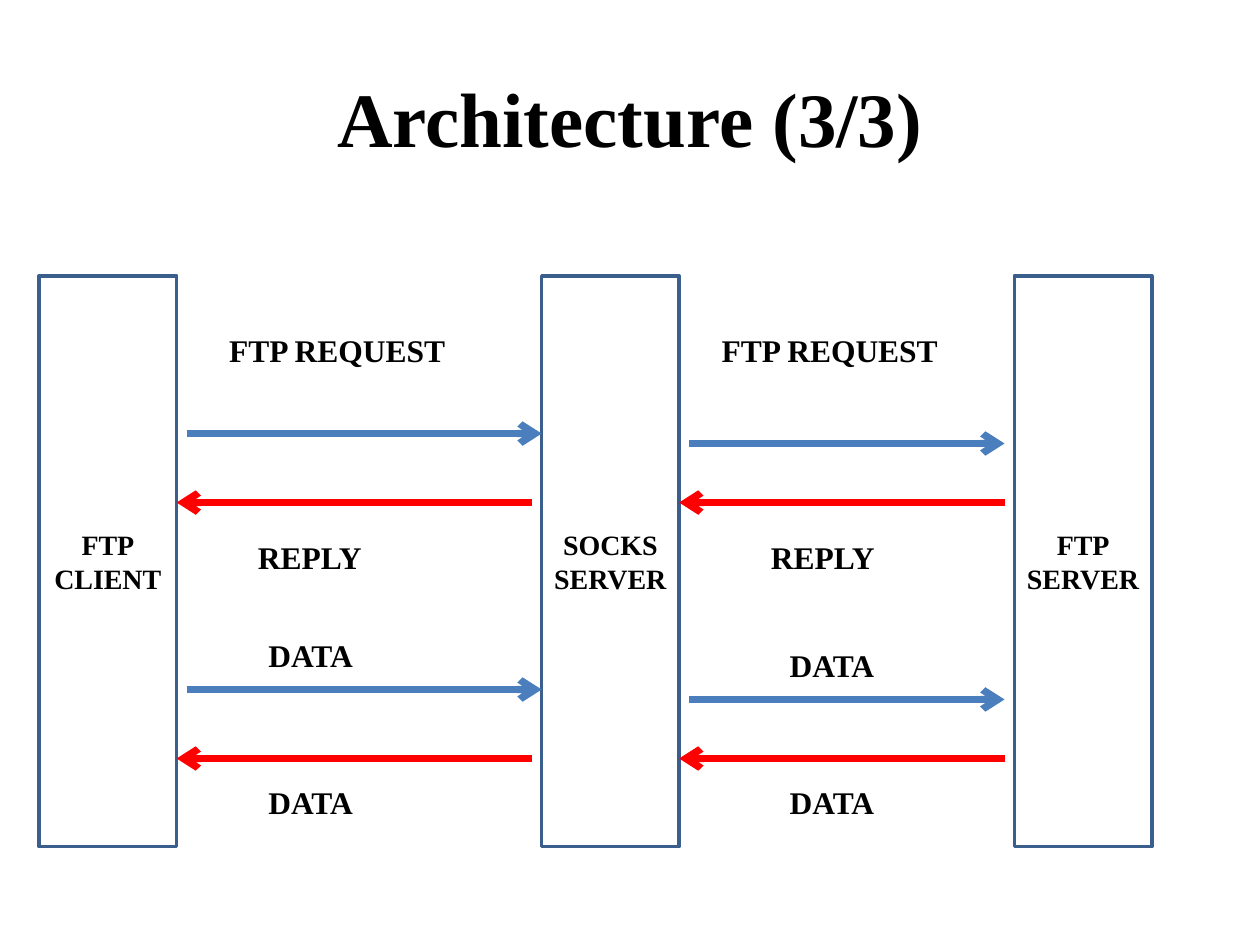
from dataclasses import dataclass

from lxml import etree
from pptx import Presentation
from pptx import util as u
from pptx.dml.color import RGBColor
from pptx.enum import shapes, text
from pptx.oxml.ns import qn


@dataclass(frozen=True)
class Theme:
    font: str = "Times New Roman"
    ink: RGBColor = RGBColor(0, 0, 0)
    border: RGBColor = RGBColor(0x3A, 0x5F, 0x8C)
    forward: RGBColor = RGBColor(0x4B, 0x7E, 0xBC)
    back: RGBColor = RGBColor(0xFF, 0, 0)
    title_size: int = 44
    host_size: int = 16
    label_size: int = 18
    border_width: int = 2
    arrow_width: int = 4


@dataclass(frozen=True)
class Host:
    x: float
    lines: tuple[str, ...]


@dataclass(frozen=True)
class Arrow:
    x1: float
    x2: float
    y: float
    color: RGBColor


@dataclass(frozen=True)
class Label:
    x: float
    y: float
    caption: str


THEME = Theme()

# All lengths are in centimetres
HOST_TOP, HOST_W, HOST_H = 5.56, 2.77, 11.51
LABEL_W, LABEL_H = 9.12, 1.02
GAP = 0.2  # space between an arrow's loose end and a host
DATA_DROP = 5.16  # from the request/reply arrows to the data arrows

CLIENT = Host(0.79, ("FTP", "CLIENT"))
SOCKS = Host(10.92, ("SOCKS", "SERVER"))
SERVER = Host(20.45, ("FTP", "SERVER"))

ARROWS = [
    arrow
    for drop in (0, DATA_DROP)
    for arrow in (
        Arrow(CLIENT.x + HOST_W + GAP, SOCKS.x, 8.74 + drop, THEME.forward),
        Arrow(SOCKS.x + HOST_W + GAP, SERVER.x - GAP, 8.94 + drop, THEME.forward),
        Arrow(SOCKS.x - GAP, CLIENT.x + HOST_W, 10.13 + drop, THEME.back),
        Arrow(SERVER.x - GAP, SOCKS.x + HOST_W, 10.13 + drop, THEME.back),
    )
]

LABELS = [
    Label(4.37, 6.55, "FTP REQUEST"),
    Label(14.3, 6.55, "FTP REQUEST"),
    Label(4.95, 10.72, "REPLY"),
    Label(15.29, 10.72, "REPLY"),
    Label(5.16, 12.7, "DATA"),
    Label(15.67, 12.9, "DATA"),
    Label(5.16, 15.67, "DATA"),
    Label(15.67, 15.67, "DATA"),
]


def style(p, size: int, align=text.PP_ALIGN.LEFT) -> None:
    p.alignment = align
    p.font.name = THEME.font
    p.font.size = u.Pt(size)
    p.font.bold = True
    p.font.color.rgb = THEME.ink


def add_title(s, caption: str) -> None:
    sp = s.shapes.title
    sp.left, sp.top, sp.width, sp.height = map(u.Cm, (1.27, 0.76, 22.86, 3.18))
    tf = sp.text_frame
    tf.text = caption
    tf.vertical_anchor = text.MSO_ANCHOR.MIDDLE
    style(tf.paragraphs[0], THEME.title_size, text.PP_ALIGN.CENTER)


def add_host(s, host: Host) -> None:
    sp = s.shapes.add_shape(
        shapes.MSO_SHAPE.RECTANGLE,
        u.Cm(host.x), u.Cm(HOST_TOP), u.Cm(HOST_W), u.Cm(HOST_H),
    )
    sp.shadow.inherit = False
    sp.fill.background()
    sp.line.color.rgb = THEME.border
    sp.line.width = u.Pt(THEME.border_width)
    tf = sp.text_frame
    tf.word_wrap = True
    tf.margin_left = tf.margin_right = u.Cm(0.1)
    tf.vertical_anchor = text.MSO_ANCHOR.MIDDLE
    tf.text = "\n".join(host.lines)
    for p in tf.paragraphs:
        style(p, THEME.host_size, text.PP_ALIGN.CENTER)


def add_arrow(s, arrow: Arrow) -> None:
    cx = s.shapes.add_connector(
        shapes.MSO_CONNECTOR.STRAIGHT,
        u.Cm(arrow.x1), u.Cm(arrow.y), u.Cm(arrow.x2), u.Cm(arrow.y),
    )
    cx.line.color.rgb = arrow.color
    cx.line.width = u.Pt(THEME.arrow_width)
    etree.SubElement(cx.line._get_or_add_ln(), qn("a:tailEnd"), type="arrow")
    etree.SubElement(cx._element.spPr, qn("a:effectLst"))


def add_label(s, label: Label) -> None:
    sp = s.shapes.add_textbox(
        u.Cm(label.x), u.Cm(label.y), u.Cm(LABEL_W), u.Cm(LABEL_H)
    )
    tf = sp.text_frame
    tf.word_wrap = True
    tf.auto_size = text.MSO_AUTO_SIZE.SHAPE_TO_FIT_TEXT
    tf.text = label.caption
    style(tf.paragraphs[0], THEME.label_size)


def main() -> None:
    prs = Presentation()
    prs.slide_width, prs.slide_height = u.Cm(25.4), u.Cm(19.05)
    s = prs.slides.add_slide(prs.slide_layouts[5])  # title only

    add_title(s, "Architecture (3/3)")

    # Hosts, then the messages between them
    for host in (CLIENT, SOCKS, SERVER):
        add_host(s, host)
    for arrow in ARROWS:
        add_arrow(s, arrow)
    for label in LABELS:
        add_label(s, label)

    prs.save("out.pptx")


if __name__ == "__main__":
    main()
